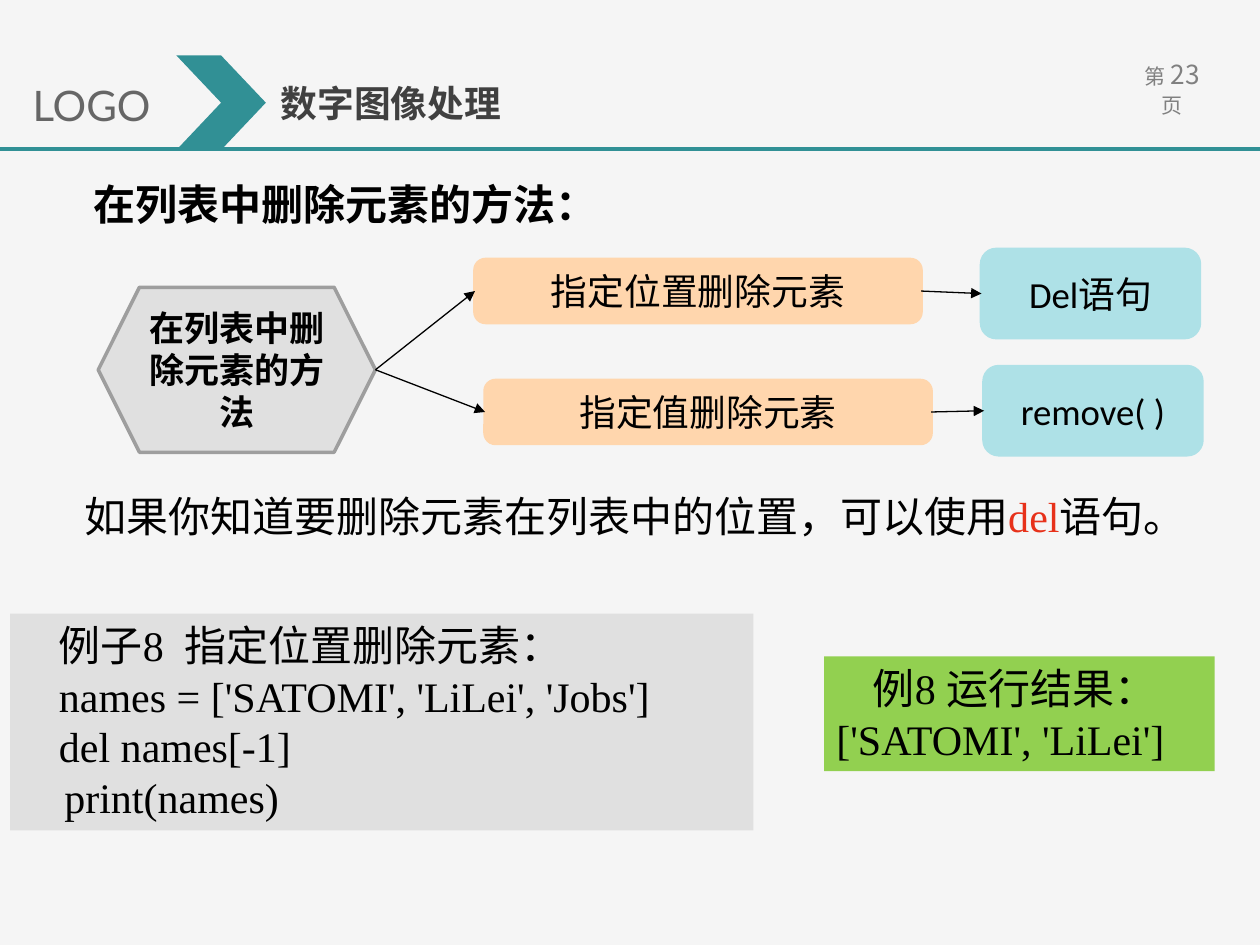
"""Build a slide on deleting list elements in Python."""
from pptx import Presentation
from pptx import util as u
from pptx.dml.color import RGBColor
from pptx.enum import shapes, text
from pptx.oxml.ns import qn
from lxml import etree

TEAL, GRAY, PEACH, AQUA, GREEN = "319095", "E0E0E0", "FFD6AD", "AEE1E7", "92D050"
SERIF, SANS, CJK = "Times New Roman", "Calibri", "Noto Sans CJK SC"
SHAPE, ALIGN = shapes.MSO_SHAPE, text.PP_ALIGN
INDENT = 0.29

PAGE_NUMBER = [("第", {"size": 12}), (" ", {"size": 13.5}), ("23", {"size": 15}),
               (" ", {"size": 13.5}), ("页", {"size": 12})]
HEADING = "在列表中删除元素的方法："
ROOT = "在列表中删除元素的方法"
BRANCHES = [
    ("指定位置删除元素", (3.77, 2.06), "Del语句", (7.79, 1.98)),
    ("指定值删除元素", (3.85, 3.02), "remove( )", (7.81, 2.91)),
]
ADVICE = ["如果你知道要删除元素在列表中的位置，可以使用", ("del", {"color": "E7311A"}), "语句。"]
CODE = [("例子8  指定位置删除元素：", INDENT), ("names = ['SATOMI', 'LiLei', 'Jobs']", INDENT),
        ("del names[-1]", INDENT), ("    print(names)", 0)]
RESULT = [("例8 运行结果：", INDENT), ("['SATOMI', 'LiLei']", 0)]

ROOT_BOX = (0.78, 2.28, 2.2, 1.31)
METHOD_SIZE, CALL_SIZE = (3.54, 0.5), (1.73, 0.7)


def rgb(value):
    return RGBColor.from_string(value)


def write(box, paras, size=24, font=SERIF, color="000000", bold=False,
          align=ALIGN.LEFT, anchor=text.MSO_ANCHOR.TOP, leading=None, side=0.1):
    """Fill a box with (content, first-line indent) pairs; content is text or spans."""
    frame = box.text_frame
    frame.word_wrap = True
    frame.vertical_anchor = anchor
    frame.margin_left = frame.margin_right = u.Inches(side)
    for index, (content, indent) in enumerate(paras):
        para = frame.paragraphs[0] if index == 0 else frame.add_paragraph()
        para.alignment = align
        para.line_spacing = u.Pt(leading or 1.2 * size)
        if indent:
            para._p.get_or_add_pPr().set("indent", str(u.Inches(indent)))
        for part in [content] if isinstance(content, str) else content:
            words, style = (part, {}) if isinstance(part, str) else part
            span = para.add_run()
            span.text = words
            span.font.name = font
            span.font.size = u.Pt(style.get("size", size))
            span.font.bold = bold
            span.font.color.rgb = rgb(style.get("color", color))
            etree.SubElement(span.font._element, qn("a:ea"), typeface=CJK)


def add_text(page, place, paras, **style):
    write(page.shapes.add_textbox(*map(u.Inches, place)), paras, **style)


def add_block(page, kind, place, fill, paras=(), line=None, **style):
    block = page.shapes.add_shape(kind, *map(u.Inches, place))
    block.shadow.inherit = False
    block.fill.solid()
    block.fill.fore_color.rgb = rgb(fill)
    if line:
        block.line.color.rgb = rgb(line)
        block.line.width = u.Pt(2)
    else:
        block.line.fill.background()
    write(block, paras, **style)


def add_line(page, start, end, color="000000", width=0.75, arrow=True):
    line = page.shapes.add_connector(shapes.MSO_CONNECTOR.STRAIGHT,
                                     *map(u.Inches, (*start, *end)))
    line.line.color.rgb = rgb(color)
    line.line.width = u.Pt(width)
    if arrow:
        etree.SubElement(line.line._get_or_add_ln(), qn("a:tailEnd"), type="triangle")
    etree.SubElement(line._element.spPr, qn("a:effectLst"))


def left_middle(place):
    return place[0], place[1] + place[3] / 2


def right_middle(place):
    return place[0] + place[2], place[1] + place[3] / 2


def add_header(page):
    add_text(page, (8.84, 0.44, 0.93, 0.35), [(PAGE_NUMBER, 0)], font=CJK,
             color="808080", align=ALIGN.CENTER, leading=16, side=0.2)
    add_line(page, (0, 1.18), (10, 1.18), color=TEAL, width=2.25, arrow=False)
    add_text(page, (2.13, 0.59, 6.03, 0.45), [("数字图像处理", 0)], size=21,
             font=CJK, color="404040", bold=True)
    add_block(page, SHAPE.CHEVRON, (1.4, 0.44, 0.71, 0.75), TEAL)
    add_text(page, (0.16, 0.58, 1.25, 0.51), [("LOGO", 0)], font="Lato", color="666666")


def add_diagram(page):
    centred = {"align": ALIGN.CENTER, "anchor": text.MSO_ANCHOR.MIDDLE}
    add_block(page, SHAPE.HEXAGON, ROOT_BOX, GRAY, [(ROOT, 0)], line="9E9E9E",
              size=20, bold=True, **centred)
    for method, method_at, call, call_at in BRANCHES:
        method_box, call_box = method_at + METHOD_SIZE, call_at + CALL_SIZE
        for label, place, fill in ((method, method_box, PEACH), (call, call_box, AQUA)):
            add_block(page, SHAPE.ROUNDED_RECTANGLE, place, fill, [(label, 0)],
                      line=fill, size=21, font=SANS, **centred)
        add_line(page, right_middle(ROOT_BOX), left_middle(method_box))
        add_line(page, right_middle(method_box), left_middle(call_box))


def main():
    deck = Presentation()
    deck.slide_width, deck.slide_height = u.Inches(10), u.Inches(7.5)
    page = deck.slides.add_slide(deck.slide_layouts[6])
    page.background.fill.solid()
    page.background.fill.fore_color.rgb = rgb("F5F5F5")
    add_header(page)
    add_text(page, (0.35, 1.37, 9.29, 0.5), [(HEADING, INDENT)], bold=True,
             align=ALIGN.JUSTIFY)
    add_block(page, SHAPE.RECTANGLE, (0.08, 4.87, 5.9, 1.72), GRAY, CODE)
    add_block(page, SHAPE.RECTANGLE, (6.54, 5.21, 3.1, 0.91), GREEN, RESULT)
    add_text(page, (0.28, 3.84, 10.01, 0.5), [(ADVICE, INDENT)], align=ALIGN.JUSTIFY)
    add_diagram(page)
    deck.save("out.pptx")


if __name__ == "__main__":
    main()
